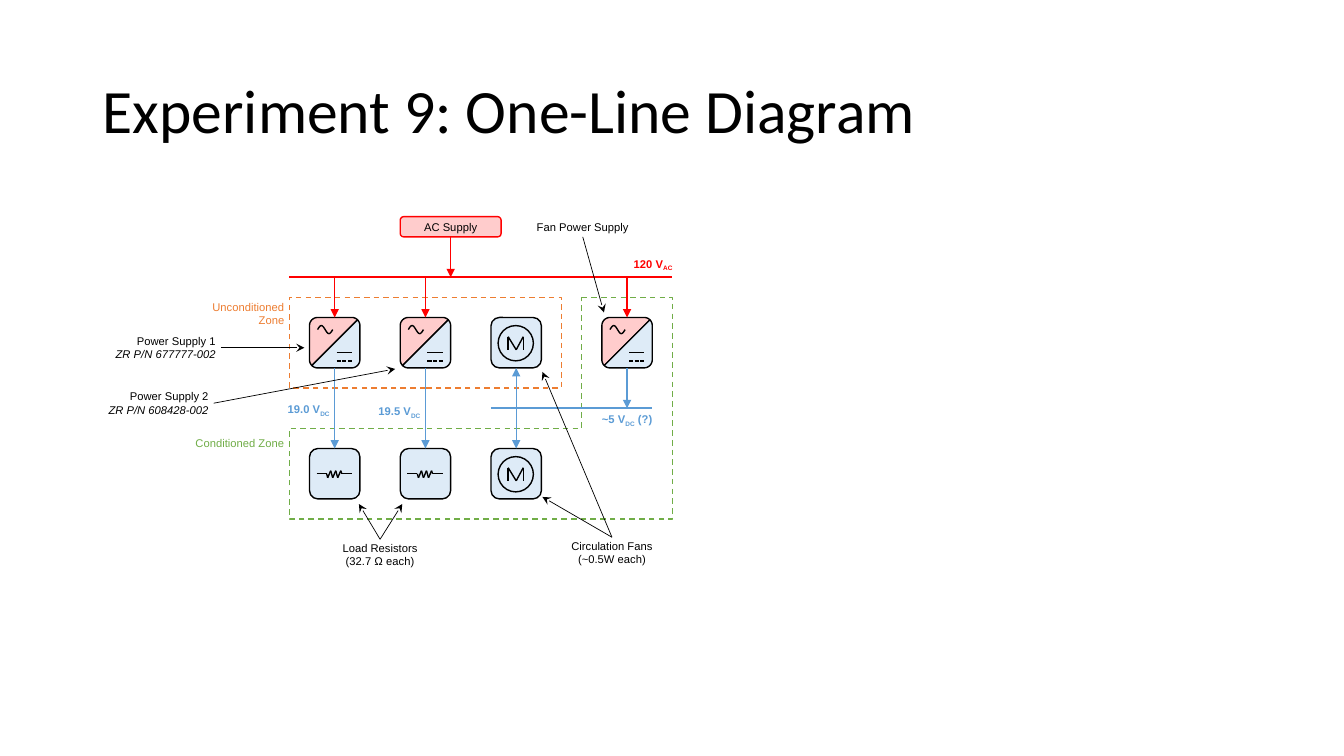
from dataclasses import dataclass
from itertools import pairwise
from math import cos, pi, radians, sin

from lxml import etree
from pptx import Presentation
from pptx.dml.color import RGBColor
from pptx.enum.dml import MSO_LINE
from pptx.enum.shapes import MSO_CONNECTOR, MSO_SHAPE
from pptx.enum.text import MSO_ANCHOR, PP_ALIGN
from pptx.oxml.ns import qn
from pptx.util import Inches, Pt

LEFT, CENTER, RIGHT = PP_ALIGN.LEFT, PP_ALIGN.CENTER, PP_ALIGN.RIGHT
MIDDLE, BOTTOM = MSO_ANCHOR.MIDDLE, MSO_ANCHOR.BOTTOM
STRAIGHT = MSO_CONNECTOR.STRAIGHT
RECTANGLE, ROUNDED, OVAL = MSO_SHAPE.RECTANGLE, MSO_SHAPE.ROUNDED_RECTANGLE, MSO_SHAPE.OVAL
DASH, SHORT_DASH = MSO_LINE.DASH, MSO_LINE.SQUARE_DOT


@dataclass(frozen=True)
class Theme:
    """Colours, fonts, type sizes and line widths of the slide."""
    ink: str = "000000"
    ac: str = "FF0000"
    ac_fill: str = "FFCCCC"
    dc: str = "5B9BD5"
    dc_fill: str = "DEEBF7"
    unconditioned: str = "ED7D31"
    conditioned: str = "70AD47"
    title_font: str = "Calibri"
    label_font: str = "Arial"
    title_size: float = 44
    label_size: float = 8
    bus: float = 1.5
    wire: float = 1
    pointer: float = 0.5


THEME = Theme()
TITLE = "Experiment 9: One-Line Diagram"

# Icon grid
SIZE, RADIUS = 0.5, 0.08
COLUMNS = {"first": 3.07, "second": 3.97, "fan": 4.87, "fan supply": 5.97}
TOP_ROW, BOTTOM_ROW = 3.15, 4.45
AC_BUS, DC_BUS = 2.75, 4.05
MID = {name: left + SIZE / 2 for name, left in COLUMNS.items()}

UNCONDITIONED_BOX = (2.87, 2.95, 2.7, 0.9)
CONDITIONED_OUTLINE = [(5.77, 2.95), (6.67, 2.95), (6.67, 5.15),
                       (2.87, 5.15), (2.87, 4.25), (5.77, 4.25)]
AC_SUPPLY_BOX = (3.97, 2.15, 1, 0.2)

# start, end, colour, width, arrowhead at the end
BUSES = [((2.87, AC_BUS), (6.67, AC_BUS), THEME.ac, THEME.bus, None),
         ((4.87, DC_BUS), (6.47, DC_BUS), THEME.dc, THEME.bus, None)]
WIRES = [((x, top), (x, bottom), colour, THEME.wire, "triangle")
         for x, top, bottom, colour in [
             (4.47, 2.35, AC_BUS, THEME.ac),
             *((MID[name], AC_BUS, TOP_ROW, THEME.ac)
               for name in ("first", "second", "fan supply")),
             *((MID[name], TOP_ROW + SIZE, BOTTOM_ROW, THEME.dc)
               for name in ("first", "second")),
             (MID["fan"], DC_BUS, TOP_ROW + SIZE, THEME.dc),
             (MID["fan"], DC_BUS, BOTTOM_ROW, THEME.dc),
             (MID["fan supply"], TOP_ROW + SIZE, DC_BUS, THEME.dc)]]
POINTERS = [(start, end, THEME.ink, THEME.pointer, "stealth") for start, end in [
    ((5.78, 2.35), (5.99, 3.1)),
    ((6.07, 5.33), (5.38, 3.69)), ((6.07, 5.33), (5.38, 4.93)),
    ((2.19, 3.45), (3.02, 3.45)), ((2.12, 4), (3.92, 3.66)),
    ((3.77, 5.35), (3.99, 5)), ((3.77, 5.35), (3.56, 5))]]

# box, alignment, colour, paragraphs of (text, style) runs
NOTES = [
    ((5.08, 2.15, 1.4, 0.2), CENTER, THEME.ink, [[("Fan Power Supply", "")]]),
    ((5.57, 5.33, 1, 0.3), CENTER, THEME.ink,
     [[("Circulation Fans", "")], [("(~0.5W each)", "")]]),
    ((3.27, 5.35, 1, 0.3), CENTER, THEME.ink,
     [[("Load Resistors", "")], [("(32.7 \u2126 each)", "")]]),
    ((0.99, 3.3, 1.2, 0.3), RIGHT, THEME.ink,
     [[("Power Supply 1", "")], [("ZR P/N 677777-002", "italic")]]),
    ((0.92, 3.85, 1.2, 0.3), RIGHT, THEME.ink,
     [[("Power Supply 2", "")], [("ZR P/N 608428-002", "italic")]]),
    ((1.87, 2.96, 1, 0.3), RIGHT, THEME.unconditioned, [[("Unconditioned Zone", "")]]),
    ((1.87, 4.25, 1, 0.3), RIGHT, THEME.conditioned, [[("Conditioned Zone", "")]]),
]
VOLTAGES = [
    ((5.67, 2.51, 1, 0.24), THEME.ac, [("120 V", "bold"), ("AC", "bold sub")]),
    ((5.47, 4.05, 1, 0.24), THEME.dc,
     [("~5 V", "bold"), ("DC", "bold sub"), (" (?)", "bold")]),
    ((2.77, 3.95, 0.5, 0.24), THEME.dc, [("19.0 V", "bold"), ("DC", "bold sub")]),
    ((3.67, 3.97, 0.5, 0.24), THEME.dc, [("19.5 V", "bold"), ("DC", "bold sub")]),
]

# Strokes inside an icon, measured from its top left corner
RESISTOR = [(0.07, 0.25), (0.17, 0.25), (0.18, 0.29), (0.21, 0.22), (0.23, 0.29),
            (0.26, 0.22), (0.28, 0.29), (0.31, 0.22), (0.32, 0.25), (0.42, 0.25)]
MOTOR = [(0.17, 0.32), (0.17, 0.19), (0.25, 0.32), (0.32, 0.19), (0.32, 0.32)]
SINE = [(0.08 + 0.15 * i / 24, 0.12 - 0.04 * sin(2 * pi * i / 24)) for i in range(25)]


def arc(x, y, start, end):
    """Return points on a corner arc around (x, y), angles in degrees."""
    angles = [radians(start + (end - start) * i / 8) for i in range(9)]
    return [(x + RADIUS * cos(a), y + RADIUS * sin(a)) for a in angles]


FAR = SIZE - RADIUS
AC_HALF = arc(RADIUS, RADIUS, 180, 270) + arc(FAR, RADIUS, 270, 315) + arc(RADIUS, FAR, 135, 180)
DC_HALF = [(SIZE - x, SIZE - y) for x, y in AC_HALF]


def shift(points, left, top):
    """Move points by an offset."""
    return [(left + x, top + y) for x, y in points]


def paint(shape, fill, line, dash=None):
    """Set a shape's fill and outline and drop its shadow."""
    shape.shadow.inherit = False
    if fill:
        shape.fill.solid()
        shape.fill.fore_color.rgb = RGBColor.from_string(fill)
    else:
        shape.fill.background()
    shape.line.color.rgb = RGBColor.from_string(line)
    shape.line.width = Pt(THEME.wire)
    if dash:
        shape.line.dash_style = dash
    return shape


def add_box(shapes, kind, box, fill, line, dash=None):
    """Add a preset shape."""
    return paint(shapes.add_shape(kind, *map(Inches, box)), fill, line, dash)


def add_outline(shapes, points, fill, line, dash=None, close=True):
    """Add a freeform through the points."""
    start, *rest = [(Inches(x), Inches(y)) for x, y in points]
    builder = shapes.build_freeform(*start)
    builder.add_line_segments(rest, close=close)
    return paint(builder.convert_to_shape(), fill, line, dash)


def add_line(shapes, start, end, colour=THEME.ink, width=THEME.wire, head=None, dash=None):
    """Add a straight line, with an optional arrowhead at its end."""
    line = shapes.add_connector(STRAIGHT, *map(Inches, (*start, *end)))
    line.line.color.rgb = RGBColor.from_string(colour)
    line.line.width = Pt(width)
    if dash:
        line.line.dash_style = dash
    properties = line._element.spPr
    if head:
        etree.SubElement(properties.find(qn("a:ln")), qn("a:tailEnd"), type=head)
    etree.SubElement(properties, qn("a:effectLst"))


def write(frame, paragraphs, align, colour, anchor=MIDDLE, insets=(0.05, 0),
          font=THEME.label_font, size=THEME.label_size):
    """Fill a text frame run by run."""
    frame.word_wrap = True
    frame.vertical_anchor = anchor
    frame.margin_left = frame.margin_right = Inches(insets[0])
    frame.margin_top = frame.margin_bottom = Inches(insets[1])
    for index, runs in enumerate(paragraphs):
        para = frame.add_paragraph() if index else frame.paragraphs[0]
        para.alignment = align
        for text, style in runs:
            span = para.add_run()
            span.text = text
            span.font.name, span.font.size = font, Pt(size)
            span.font.color.rgb = RGBColor.from_string(colour)
            span.font.bold, span.font.italic = "bold" in style, "italic" in style
            if "sub" in style:
                span._r.get_or_add_rPr().set("baseline", "-25000")


def add_converter(page, left, top):
    """Draw an AC to DC power supply icon."""
    shapes = page.shapes.add_group_shape().shapes
    for half, fill in ((AC_HALF, THEME.ac_fill), (DC_HALF, THEME.dc_fill)):
        add_outline(shapes, shift(half, left, top), fill, THEME.ink)
    add_outline(shapes, shift(SINE, left, top), None, THEME.ink, close=False)
    for y, dash in ((0.35, None), (0.43, SHORT_DASH)):
        add_line(shapes, *shift([(0.27, y), (0.42, y)], left, top), dash=dash)


def add_load(page, left, top, strokes, ring=False):
    """Draw a load icon: a rounded tile with a symbol made of strokes."""
    shapes = page.shapes.add_group_shape().shapes
    add_box(shapes, ROUNDED, (left, top, SIZE, SIZE), THEME.dc_fill, THEME.ink)
    if ring:
        add_box(shapes, OVAL, (left + 0.07, top + 0.08, 0.35, 0.35), THEME.dc_fill, THEME.ink)
    for start, end in pairwise(shift(strokes, left, top)):
        add_line(shapes, start, end)


deck = Presentation()
deck.slide_width, deck.slide_height = Inches(13.33), Inches(7.5)
page = deck.slides.add_slide(deck.slide_layouts[5])

title = page.shapes.title
title.left, title.top, title.width, title.height = map(Inches, (0.92, 0.4, 11.5, 1.45))
write(title.text_frame, [[(TITLE, "")]], LEFT, THEME.ink, insets=(0.1, 0.05),
      font=THEME.title_font, size=THEME.title_size)
title.text_frame.paragraphs[0].line_spacing = 0.9

add_box(page.shapes, RECTANGLE, UNCONDITIONED_BOX, None, THEME.unconditioned, DASH)
add_outline(page.shapes, CONDITIONED_OUTLINE, None, THEME.conditioned, DASH)
supply = add_box(page.shapes, ROUNDED, AC_SUPPLY_BOX, THEME.ac_fill, THEME.ac)
write(supply.text_frame, [[("AC Supply", "")]], CENTER, THEME.ink, insets=(0, 0.05))

for bus in BUSES:
    add_line(page.shapes, *bus)
for name in ("first", "second", "fan supply"):
    add_converter(page, COLUMNS[name], TOP_ROW)
for name in ("first", "second"):
    add_load(page, COLUMNS[name], BOTTOM_ROW, RESISTOR)
for row in (TOP_ROW, BOTTOM_ROW):
    add_load(page, COLUMNS["fan"], row, MOTOR, ring=True)
for line in WIRES + POINTERS:
    add_line(page.shapes, *line)

for box, align, colour, paragraphs in NOTES:
    write(page.shapes.add_textbox(*map(Inches, box)).text_frame, paragraphs, align, colour)
for box, colour, runs in VOLTAGES:
    write(page.shapes.add_textbox(*map(Inches, box)).text_frame, [runs], RIGHT, colour,
          anchor=BOTTOM, insets=(0, 0.05))

deck.save("out.pptx")
